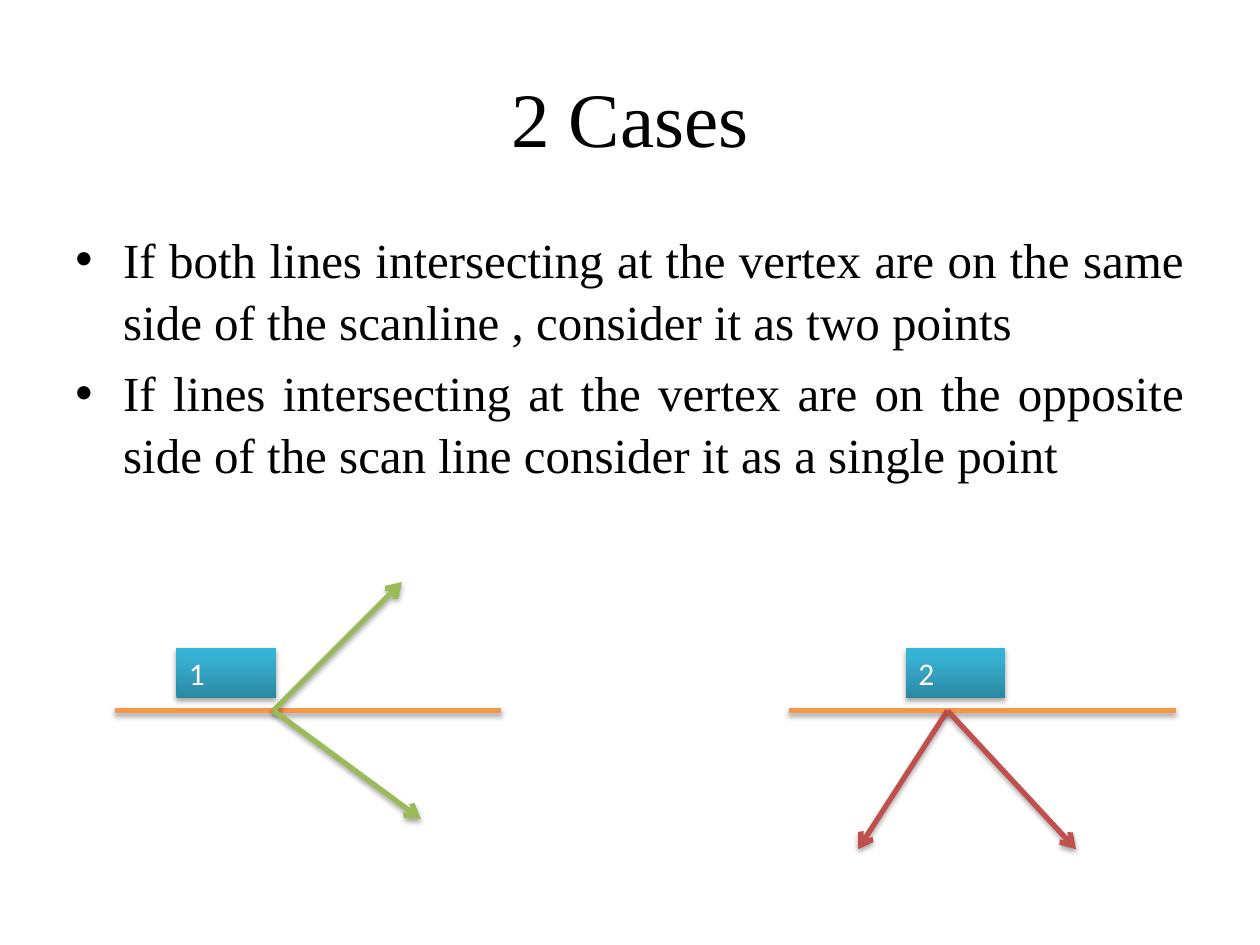
from dataclasses import dataclass

from lxml.etree import SubElement
from pptx import Presentation
from pptx.dml.color import RGBColor
from pptx.enum.shapes import MSO_CONNECTOR, MSO_SHAPE
from pptx.enum.text import MSO_ANCHOR, PP_ALIGN
from pptx.oxml import parse_xml
from pptx.oxml.ns import nsdecls, qn
from pptx.util import Inches, Pt

COLUMNS, ROWS = 100, 75


@dataclass(frozen=True)
class Theme:
    serif: str = "Times New Roman"
    sans: str = "Calibri"
    title_size: int = 44
    body_size: int = 28
    label_size: int = 18
    line_width: int = 3
    text: str = "000000"
    label_text: str = "FFFFFF"
    shadow: str = "000000"
    scanline: str = "F79646"
    both_sides: str = "9BBB59"
    same_side: str = "C0504D"
    label_stops: tuple = ((0, "2A88A2"), (80, "37B1D2"), (100, "34B4D6"))


class SlideBuilder:
    def __init__(self, theme):
        self.theme = theme
        self.deck = Presentation()
        self.deck.slide_width, self.deck.slide_height = Inches(10), Inches(7.5)
        self.page = self.deck.slides.add_slide(self.deck.slide_layouts[5])

    def grid(self, column, row):
        return (round(self.deck.slide_width * column / COLUMNS),
                round(self.deck.slide_height * row / ROWS))

    def place(self, column, row, columns, rows):
        return self.grid(column, row) + self.grid(columns, rows)

    def add_span(self, para, text, font, size, color):
        span = para.add_run()
        span.text = text
        span.font.name = font
        span.font.size = Pt(size)
        span.font.color.rgb = RGBColor.from_string(color)

    def title(self, text, *area):
        box = self.page.shapes.title
        box.left, box.top, box.width, box.height = self.place(*area)
        box.text_frame.vertical_anchor = MSO_ANCHOR.MIDDLE
        para = box.text_frame.paragraphs[0]
        para.alignment = PP_ALIGN.CENTER
        self.add_span(para, text, self.theme.serif, self.theme.title_size, self.theme.text)

    def bullets(self, items, *area):
        frame = self.page.shapes.add_textbox(*self.place(*area)).text_frame
        frame.word_wrap = True
        for index, text in enumerate(items):
            para = frame.add_paragraph() if index else frame.paragraphs[0]
            properties = para._p.get_or_add_pPr()
            properties.set("marL", str(Inches(0.38)))
            properties.set("indent", str(-Inches(0.38)))
            SubElement(properties, qn("a:buFont"), typeface="Arial")
            SubElement(properties, qn("a:buChar"), char="•")
            para.alignment = PP_ALIGN.JUSTIFY
            para.line_spacing = 1.05
            para.space_before = Pt(0.2 * self.theme.body_size if index else 0)
            self.add_span(para, text, self.theme.serif, self.theme.body_size, self.theme.text)

    def cast_shadow(self, shape):
        properties = shape._element.spPr
        for effects in properties.findall(qn("a:effectLst")):
            properties.remove(effects)
        properties.append(parse_xml(
            f'<a:effectLst {nsdecls("a")}>'
            f'<a:outerShdw blurRad="{Pt(3.1)}" dist="{Pt(1.8)}" dir="5400000" rotWithShape="0">'
            f'<a:srgbClr val="{self.theme.shadow}"><a:alpha val="35000"/></a:srgbClr>'
            '</a:outerShdw></a:effectLst>'))

    def line(self, start, end, color, arrow=False):
        connector = self.page.shapes.add_connector(
            MSO_CONNECTOR.STRAIGHT, *self.grid(*start), *self.grid(*end))
        connector.line.color.rgb = RGBColor.from_string(color)
        connector.line.width = Pt(self.theme.line_width)
        if arrow:
            SubElement(connector.line._get_or_add_ln(), qn("a:tailEnd"), type="arrow")
        self.cast_shadow(connector)

    def label(self, text, *area):
        box = self.page.shapes.add_shape(MSO_SHAPE.RECTANGLE, *self.place(*area))
        stops = "".join(f'<a:gs pos="{share * 1000}"><a:srgbClr val="{color}"/></a:gs>'
                        for share, color in self.theme.label_stops)
        box._element.spPr.append(parse_xml(
            f'<a:gradFill {nsdecls("a")} rotWithShape="1"><a:gsLst>{stops}</a:gsLst>'
            '<a:lin ang="16200000" scaled="0"/></a:gradFill>'))
        box.line.fill.background()
        self.cast_shadow(box)
        box.text_frame.vertical_anchor = MSO_ANCHOR.TOP
        para = box.text_frame.paragraphs[0]
        para.alignment = PP_ALIGN.LEFT
        self.add_span(para, text, self.theme.sans, self.theme.label_size, self.theme.label_text)

    def case(self, name, left, row, label_offset, color, arrow_offsets):
        vertex = left + 12.6
        self.line((left, row), (left + 30.7, row), self.theme.scanline)
        for across, down in arrow_offsets:
            self.line((vertex, row), (vertex + across, row + down), color, arrow=True)
        self.label(name, vertex + label_offset, row - 5, 7.9, 4)


def main():
    theme = Theme()
    builder = SlideBuilder(theme)
    builder.title("2 Cases", 5, 3, 90, 12.5)
    builder.bullets((
        "If both lines intersecting at the vertex are on the same side of the scanline , "
        "consider it as two points",
        "If lines intersecting at the vertex are on the opposite side of the scan line "
        "consider it as a single point",
    ), 5, 17.5, 90, 49.5)
    builder.case("1", 9.1, 56.4, -7.7, theme.both_sides, ((10.2, -10.2), (11.7, 8.6)))
    builder.case("2", 62.6, 56.4, -3.3, theme.same_side, ((-7.1, 11), (10.2, 11)))
    builder.deck.save("out.pptx")


if __name__ == "__main__":
    main()
